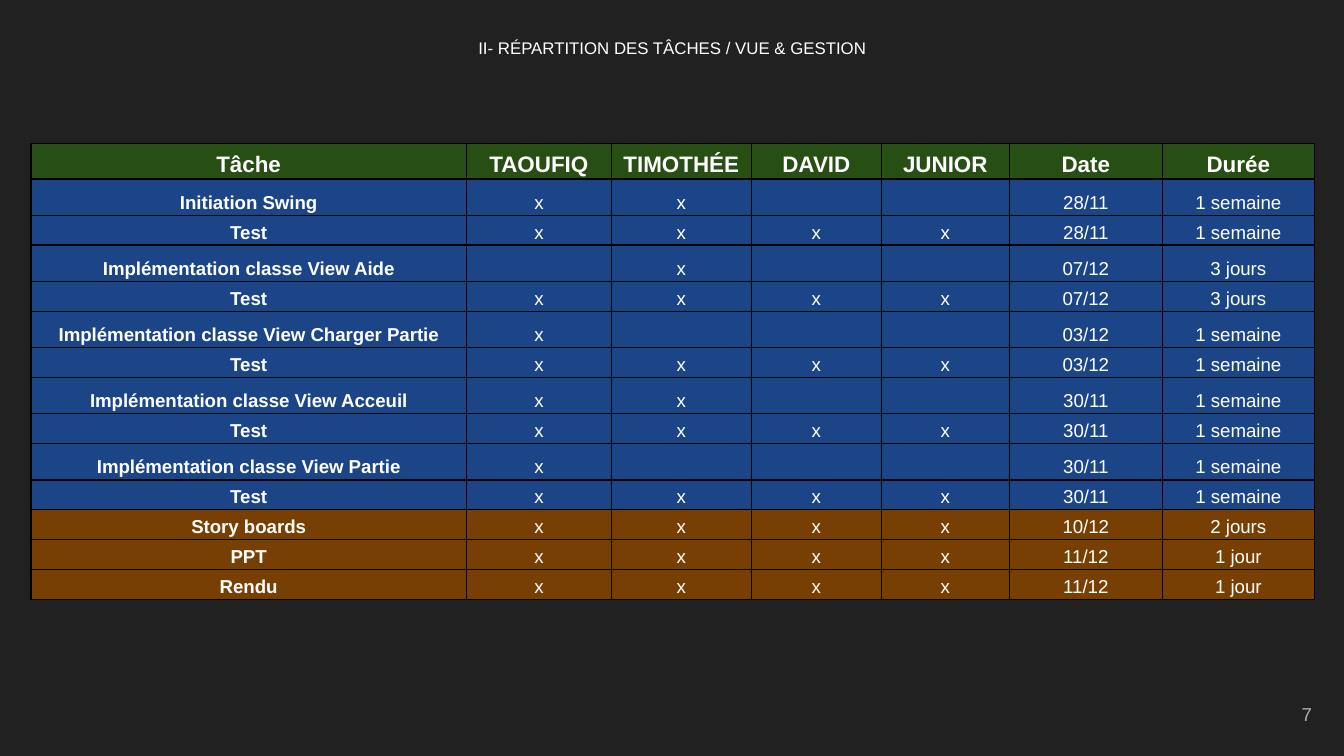
from lxml.etree import SubElement
from pptx import Presentation
from pptx.dml.color import RGBColor
from pptx.enum.text import MSO_ANCHOR, MSO_AUTO_SIZE, PP_ALIGN
from pptx.oxml.ns import qn
from pptx.util import Inches, Pt

DARK = RGBColor(0x21, 0x21, 0x21)
WHITE = RGBColor(0xFF, 0xFF, 0xFF)
GREY = RGBColor(0xAD, 0xAD, 0xAD)
GREEN = RGBColor(0x27, 0x4E, 0x13)
BLUE = RGBColor(0x1C, 0x45, 0x87)
BROWN = RGBColor(0x78, 0x3F, 0x04)
BLACK = RGBColor(0x00, 0x00, 0x00)

HEADER = ["Tâche", "TAOUFIQ", "TIMOTHÉE", "DAVID", "JUNIOR", "Date", "Durée"]
COL_WIDTHS = [3.24, 1.08, 1.04, 0.97, 0.95, 1.14, 1.13]
EVERYONE = ["x"] * 4
DEVELOPMENT = [
    ("Initiation Swing", ["x", "x", "", ""], "28/11", "1 semaine"),
    ("Implémentation classe View Aide", ["", "x", "", ""], "07/12", "3 jours"),
    ("Implémentation classe View Charger Partie", ["x", "", "", ""], "03/12", "1 semaine"),
    ("Implémentation classe View Acceuil", ["x", "x", "", ""], "30/11", "1 semaine"),
    ("Implémentation classe View Partie", ["x", "", "", ""], "30/11", "1 semaine"),
]
DELIVERY = [
    ("Story boards", "10/12", "2 jours"),
    ("PPT", "11/12", "1 jour"),
    ("Rendu", "11/12", "1 jour"),
]


def planning_rows():
    """Return (height, fill, texts) per row; each development task is followed by its test."""
    rows = [(0.25, GREEN, HEADER)]
    for task, marks, date, duration in DEVELOPMENT:
        rows.append((0.27, BLUE, [task, *marks, date, duration]))
        rows.append((0.22, BLUE, ["Test", *EVERYONE, date, duration]))
    for task, date, duration in DELIVERY:
        rows.append((0.22, BROWN, [task, *EVERYONE, date, duration]))
    return rows


def write(tf, text, size, color, align, bold=False, spacing=None):
    """Fill a text frame with one formatted paragraph."""
    tf.text = text
    p = tf.paragraphs[0]
    p.alignment = align
    p.line_spacing = spacing
    for r in p.runs:
        r.font.name = "Arial"
        r.font.size = Pt(size)
        r.font.bold = bold
        r.font.color.rgb = color
    if not text:
        SubElement(p._p, qn("a:endParaRPr"), sz=str(size * 100))


def set_margins(box, margin):
    """Give a cell or text frame the same margin on every side."""
    box.margin_left = box.margin_right = margin
    box.margin_top = box.margin_bottom = margin


def add_borders(cell):
    """Draw a thin black line on the four sides of a cell."""
    tcPr = cell._tc.get_or_add_tcPr()
    for side in ("lnL", "lnR", "lnT", "lnB"):
        ln = SubElement(tcPr, qn(f"a:{side}"), w=str(Pt(0.75)))
        fill = SubElement(ln, qn("a:solidFill"))
        SubElement(fill, qn("a:srgbClr"), val=str(BLACK))


def add_title(s, text):
    """Place and format the title placeholder."""
    title = s.shapes.title
    title.left, title.top = Inches(0.34), Inches(0.16)
    title.width, title.height = Inches(9.32), Inches(0.58)
    tf = title.text_frame
    set_margins(tf, Inches(0.1))
    tf.vertical_anchor = MSO_ANCHOR.TOP
    tf.auto_size = MSO_AUTO_SIZE.NONE
    write(tf, text, 9, WHITE, PP_ALIGN.CENTER, spacing=1.15)


def add_page_number(s, number):
    """Add the page number at the bottom right."""
    sp = s.shapes.add_textbox(Inches(9.57), Inches(5.14), Inches(0.29), Inches(0.35))
    tf = sp.text_frame
    set_margins(tf, Inches(0.1))
    tf.vertical_anchor = MSO_ANCHOR.MIDDLE
    tf.word_wrap = False
    write(tf, number, 10, GREY, PP_ALIGN.RIGHT)


def add_planning_table(s, rows):
    """Add the table of tasks, people, dates and durations."""
    height = sum(row[0] for row in rows)
    table = s.shapes.add_table(len(rows), len(HEADER), Inches(0.23), Inches(1.07),
                               Inches(sum(COL_WIDTHS)), Inches(height)).table
    for column, width in zip(table.columns, COL_WIDTHS):
        column.width = Inches(width)
    for i, (row_height, fill, texts) in enumerate(rows):
        table.rows[i].height = Inches(row_height)
        for j, text in enumerate(texts):
            cell = table.cell(i, j)
            add_borders(cell)
            cell.fill.solid()
            cell.fill.fore_color.rgb = fill
            set_margins(cell, Pt(1.12))
            cell.vertical_anchor = MSO_ANCHOR.BOTTOM
            write(cell.text_frame, text, 12 if i == 0 else 10, WHITE, PP_ALIGN.CENTER,
                  bold=i == 0 or j == 0, spacing=1.15)


def main():
    """Build the slide and save it."""
    prs = Presentation()
    prs.slide_width = Inches(10)
    prs.slide_height = prs.slide_width * 9 // 16
    s = prs.slides.add_slide(prs.slide_layouts[5])
    s.background.fill.solid()
    s.background.fill.fore_color.rgb = DARK
    add_title(s, "II- RÉPARTITION DES TÂCHES / VUE & GESTION")
    add_page_number(s, "7")
    add_planning_table(s, planning_rows())
    prs.save("out.pptx")


if __name__ == "__main__":
    main()
